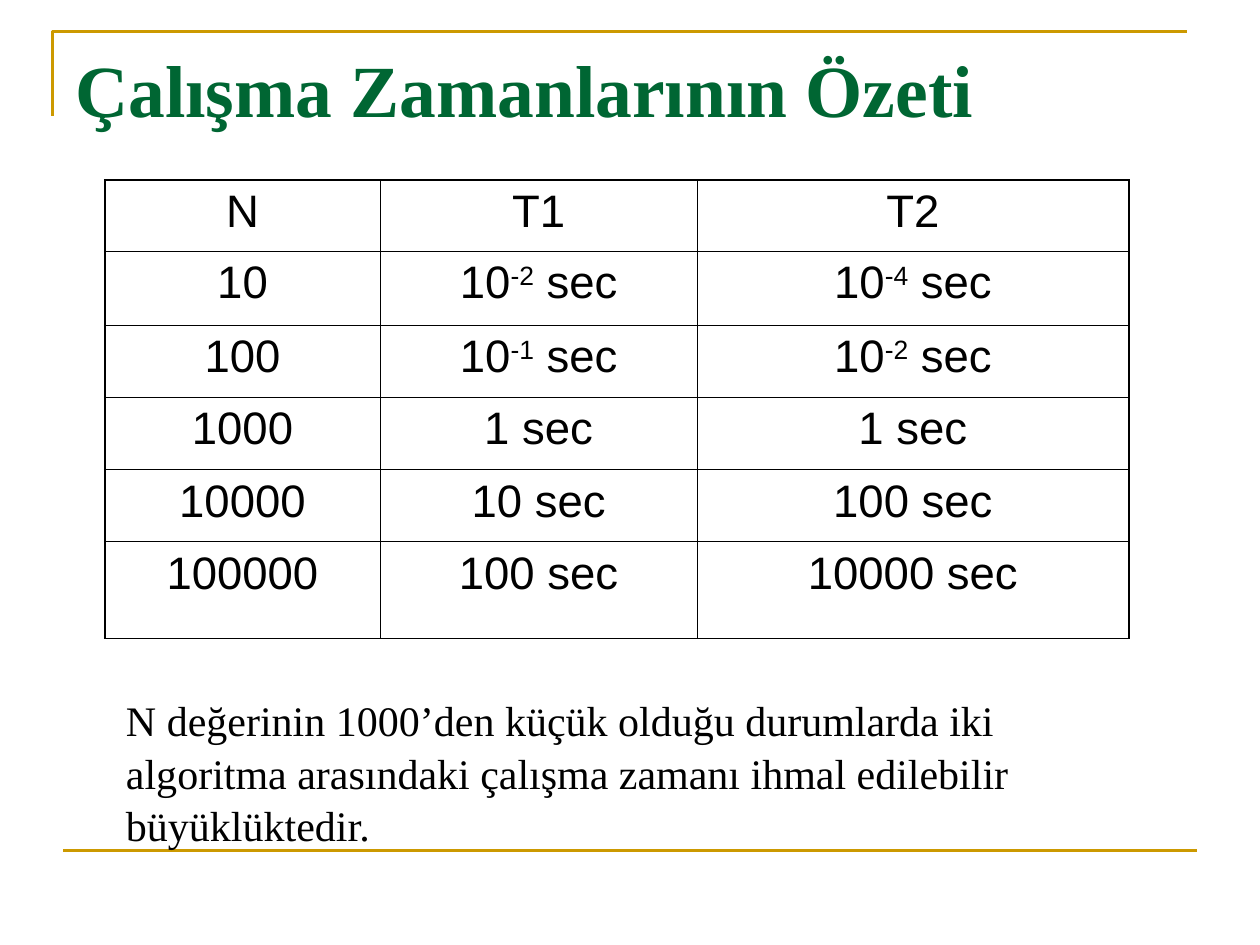
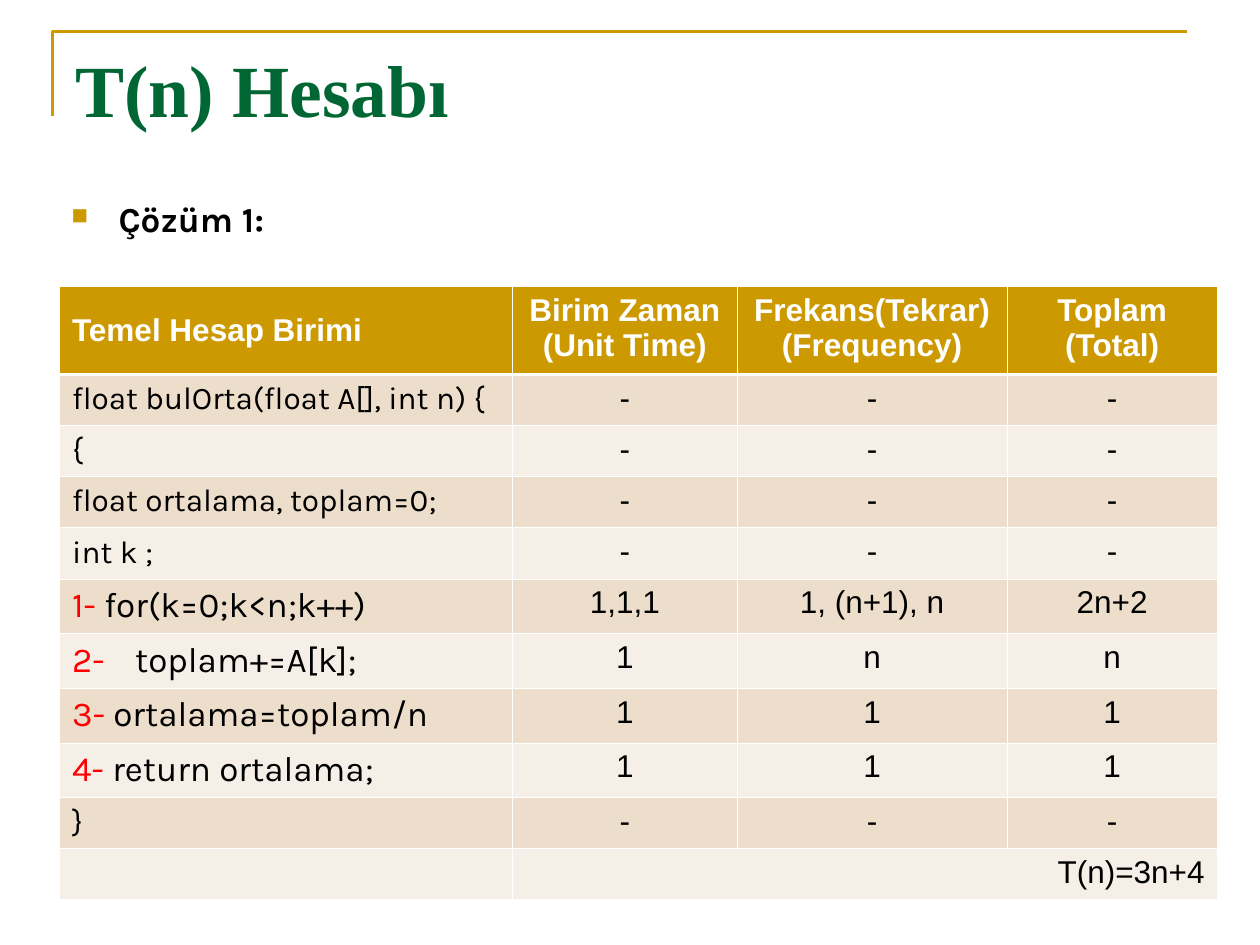
from lxml.etree import SubElement
from pptx import Presentation
from pptx.dml.color import RGBColor
from pptx.enum.shapes import MSO_CONNECTOR as Connector
from pptx.enum.text import MSO_ANCHOR as Anchor, PP_ALIGN as Align
from pptx.oxml.ns import qn
from pptx.util import Cm, Pt

color = RGBColor.from_string
GOLD, GREEN, BLACK, WHITE, RED = "CC9900", "006633", "000000", "FFFFFF", "FF0000"
DARK_BAND, LIGHT_BAND = "ECDECB", "F6EFE7"
TITLE = {"name": "Times New Roman", "size": Pt(42), "bold": True, "color": GREEN}
NOTE = {"name": "Times New Roman", "size": Pt(24), "bold": False, "color": BLACK}
BULLET = {"name": "Karla", "size": Pt(20), "bold": True, "color": BLACK}
TIMES = {"name": "Arial", "size": Pt(26), "bold": False, "color": BLACK}
HEADER = {"name": "Arial", "size": Pt(18), "bold": True, "color": WHITE}
COUNT = {"name": "Arial", "size": Pt(18), "bold": False, "color": BLACK}
CODE = COUNT | {"name": "Karla"}
STEP = CODE | {"size": Pt(20)}


def add_run(paragraph, text, style, baseline=0):
    run = paragraph.add_run()
    run.text = text
    for name, value in style.items():
        if name == "color":
            run.font.color.rgb = color(value)
        else:
            setattr(run.font, name, value)
    if baseline:
        run._r.get_or_add_rPr().set("baseline", str(baseline * 1000))


def set_borders(cell, line_color, widths):
    """Draw the left, right, top and bottom border, widths in points."""
    properties = cell._tc.get_or_add_tcPr()
    for side, width in zip("LRTB", widths):
        line = SubElement(properties, qn(f"a:ln{side}"), w=str(Pt(width)))
        fill = SubElement(line, qn("a:solidFill"))
        SubElement(fill, qn("a:srgbClr"), val=line_color)


presentation = Presentation()
presentation.slide_width, presentation.slide_height = Cm(25.4), Cm(19.05)

# Frame and title of every slide
slides = []
for title in ("Çalışma Zamanlarının Özeti", "T(n) Hesabı"):
    slide = presentation.slides.add_slide(presentation.slide_layouts[6])
    slides.append(slide)
    builder = slide.shapes.build_freeform(Cm(1.06), Cm(2.33), scale=1.0)
    builder.add_line_segments(
        [(Cm(1.06), Cm(0.63)), (Cm(23.92), Cm(0.63))], close=False)
    corner = builder.convert_to_shape()
    corner.shadow.inherit = False
    corner.fill.background()
    rule = slide.shapes.add_connector(
        Connector.STRAIGHT, Cm(1.27), Cm(17.15), Cm(24.13), Cm(17.15))
    SubElement(rule._element.spPr, qn("a:effectLst"))
    for shape in (corner, rule):
        shape.line.color.rgb = color(GOLD)
        shape.line.width = Pt(1.5)
    title_box = slide.shapes.add_textbox(Cm(1.27), Cm(0.76), Cm(22.86), Cm(3.18))
    title_box.text_frame.word_wrap = True
    add_run(title_box.text_frame.paragraphs[0], title, TITLE)

summary_slide, count_slide = slides

# Running times; "^" sets off an exponent
time_rows = [
    ("N", "T1", "T2"),
    ("10", "10^-2^ sec", "10^-4^ sec"),
    ("100", "10^-1^ sec", "10^-2^ sec"),
    ("1000", "1 sec", "1 sec"),
    ("10000", "10 sec", "100 sec"),
    ("100000", "100 sec", "10000 sec"),
]
time_table = summary_slide.shapes.add_table(
    6, 3, Cm(2.11), Cm(3.63), Cm(20.65), Cm(9.25)).table
time_table.first_row = time_table.horz_banding = False
for column, width in zip(time_table.columns, (5.56, 6.38, 8.71)):
    column.width = Cm(width)
for row, height in zip(time_table.rows, (1.44, 1.49, 1.44, 1.47, 1.45, 1.95)):
    row.height = Cm(height)
for r, texts in enumerate(time_rows):
    for c, text in enumerate(texts):
        cell = time_table.cell(r, c)
        outer = (c == 0, c == 2, r == 0, r == 5)
        set_borders(cell, BLACK, [1.08 if edge else 0.45 for edge in outer])
        cell.fill.background()
        paragraph = cell.text_frame.paragraphs[0]
        paragraph.alignment = Align.CENTER
        for i, part in enumerate(text.split("^")):
            add_run(paragraph, part, TIMES, baseline=30 * (i % 2))

note_box = summary_slide.shapes.add_textbox(Cm(2.29), Cm(13.82), Cm(19.81), Cm(3.3))
note_box.text_frame.word_wrap = True
note = note_box.text_frame.paragraphs[0]
note.line_spacing = 1.05
add_run(note, "N değerinin 1000’den küçük olduğu durumlarda iki algoritma "
        "arasındaki çalışma zamanı ihmal edilebilir büyüklüktedir.", NOTE)

# Bullet above the operation counts
bullet_box = count_slide.shapes.add_textbox(Cm(1.19), Cm(3.96), Cm(22.86), Cm(12.57))
bullet_box.text_frame.word_wrap = True
bullet = bullet_box.text_frame.paragraphs[0]
bullet.alignment = Align.JUSTIFY
bullet.line_spacing = 0.9
properties = bullet._p.get_or_add_pPr()
properties.set("marL", str(Cm(0.95)))
properties.set("indent", str(-Cm(0.95)))
SubElement(SubElement(properties, qn("a:buClr")), qn("a:srgbClr"), val=GOLD)
SubElement(properties, qn("a:buSzPct"), val="65000")
SubElement(properties, qn("a:buChar"), char="■")
add_run(bullet, "Çözüm 1:", BULLET)

# Operation counts; a step is a red label followed by its code
count_rows = [
    ("", "Temel Hesap Birimi", "Birim Zaman\n(Unit Time)",
     "Frekans(Tekrar)\n(Frequency)", "Toplam\n(Total)"),
    ("", "float bulOrta(float A[], int n) {", "-", "-", "-"),
    ("", "{", "-", "-", "-"),
    ("", "float ortalama, toplam=0;", "-", "-", "-"),
    ("", "int k ;", "-", "-", "-"),
    ("1- ", "for(k=0;k<n;k++)", "1,1,1", "1, (n+1), n", "2n+2"),
    ("2-\t", "toplam+=A[k];", "1", "n", "n"),
    ("3- ", "ortalama=toplam/n", "1", "1", "1"),
    ("4- ", "return ortalama;", "1", "1", "1"),
    ("", "}", "-", "-", "-"),
    ("", "", "T(n)=3n+4", "", ""),
]
last = len(count_rows) - 1
count_table = count_slide.shapes.add_table(
    len(count_rows), 4, Cm(1.2), Cm(5.77), Cm(23.34), Cm(12.35)).table
for column, width in zip(count_table.columns, (9.13, 4.53, 5.44, 4.24)):
    column.width = Cm(width)
for r, (label, *texts) in enumerate(count_rows):
    count_table.rows[r].height = Cm(1.78 if r == 0 else 1.1 if label else 1.03)
    band = GOLD if r == 0 else DARK_BAND if r % 2 else LIGHT_BAND
    for c, text in enumerate(texts):
        cell = count_table.cell(r, c)
        top = 1.47 if r == 1 else 0.45
        bottom = 1.47 if r == 0 else 0.45
        set_borders(cell, WHITE, (0.45, 0.45, top, bottom))
        cell.fill.solid()
        cell.fill.fore_color.rgb = color(band)
        if r == 0:
            style = HEADER
        elif c == 0:
            style = STEP if label else CODE
        else:
            style = COUNT
        frame = cell.text_frame
        for i, line in enumerate(text.split("\n") if text else []):
            paragraph = frame.add_paragraph() if i else frame.paragraphs[0]
            if c:
                paragraph.alignment = Align.RIGHT if r == last else Align.CENTER
            if label and c == 0:
                add_run(paragraph, label, STEP | {"color": RED})
            add_run(paragraph, line, style)
count_table.cell(0, 0).vertical_anchor = Anchor.MIDDLE
count_table.cell(last, 1).merge(count_table.cell(last, 3))

presentation.save("out.pptx")
